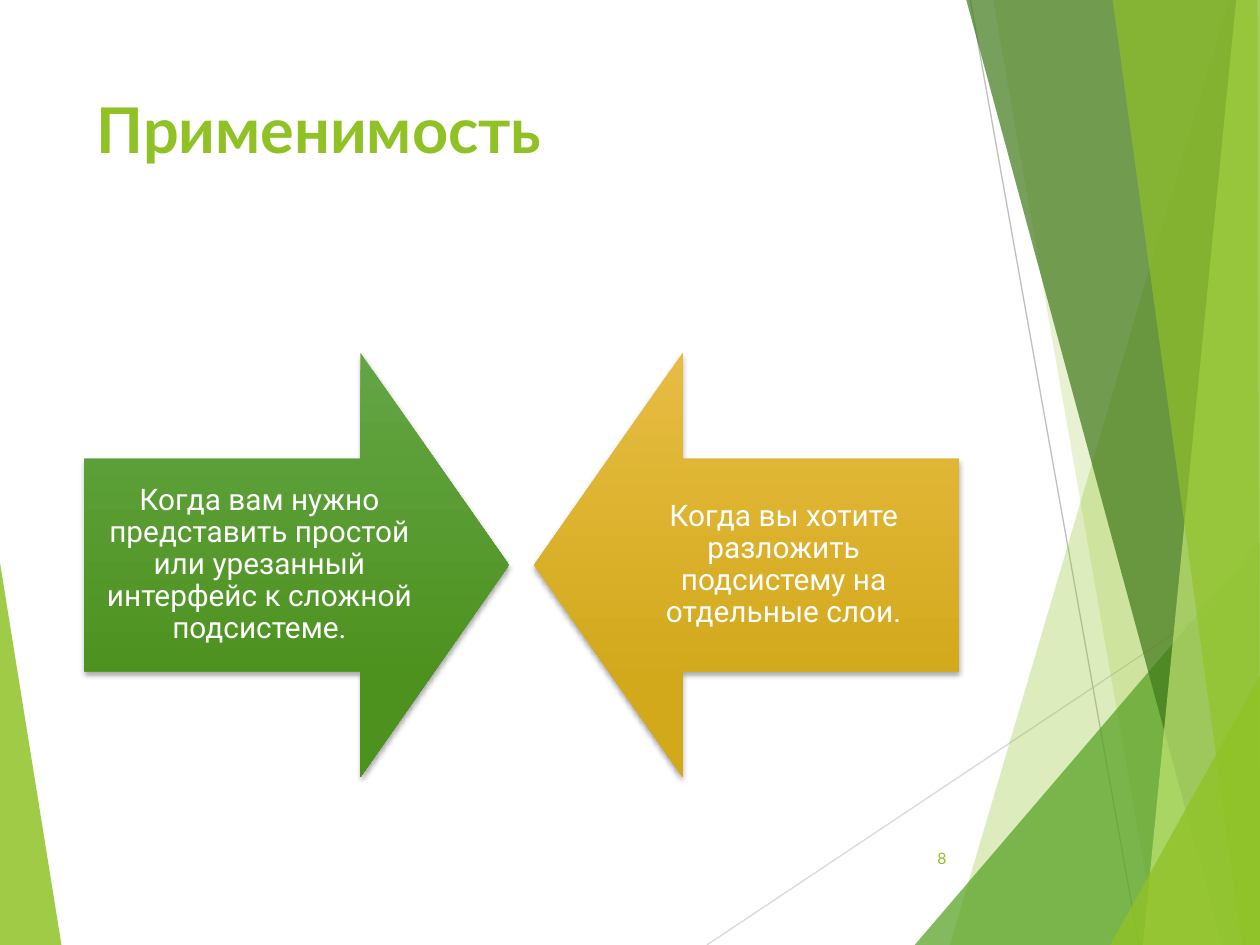
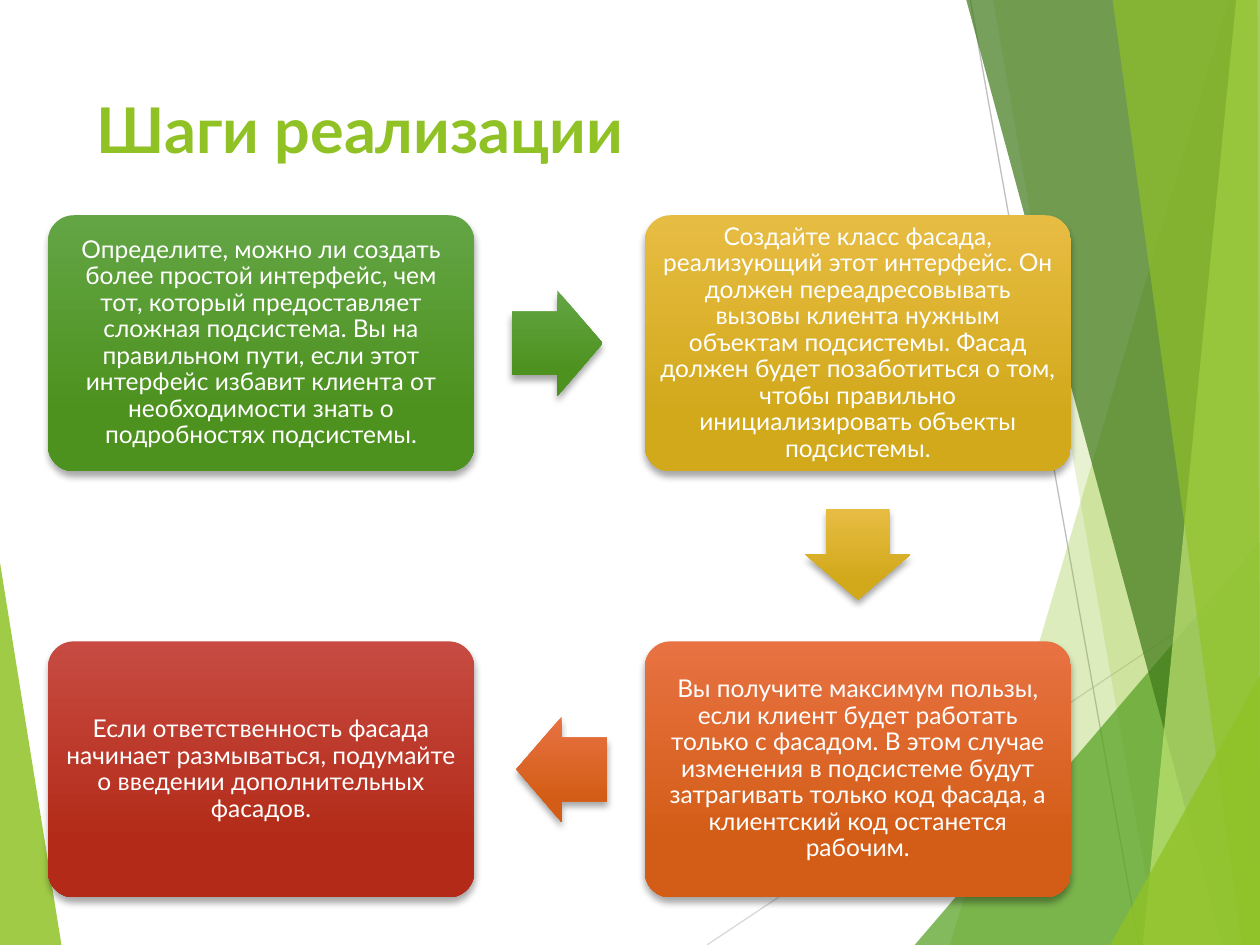
from lxml import etree
from pptx import Presentation
from pptx.dml.color import RGBColor
from pptx.enum.shapes import MSO_CONNECTOR, MSO_SHAPE
from pptx.enum.text import MSO_ANCHOR, PP_ALIGN
from pptx.oxml.ns import qn
from pptx.util import Cm, Pt

STRAIGHT = MSO_CONNECTOR.STRAIGHT
ROUNDED = MSO_SHAPE.ROUNDED_RECTANGLE
RIGHT_ARROW = MSO_SHAPE.RIGHT_ARROW
LEFT_ARROW = MSO_SHAPE.LEFT_ARROW
DOWN_ARROW = MSO_SHAPE.DOWN_ARROW
TOP, MIDDLE = MSO_ANCHOR.TOP, MSO_ANCHOR.MIDDLE
LEFT, CENTER, RIGHT = PP_ALIGN.LEFT, PP_ALIGN.CENTER, PP_ALIGN.RIGHT

WIDTH, HEIGHT = 25.4, 19.05
EDGE = 25.42

COLORS = {
    "lime": "90C226",
    "green": "54A021",
    "dark green": "3F7819",
    "pale lime": "C0E474",
    "light gray": "D9D9D9",
    "gray": "BFBFBF",
    "white": "FFFFFF",
    "black": "000000",
}
GRADIENTS = {
    "green": ("63A545", "4D921E"),
    "yellow": ("E7BC43", "D2A91B"),
    "orange": ("E87242", "D35D16"),
    "red": ("C74B42", "B32B18"),
}
FORMATS = {
    "title": {"name": "Lato", "size": Pt(36), "bold": True},
    "number": {"name": "Lato", "size": Pt(9)},
    "arrow": {"name": "Roboto", "size": Pt(17)},
    "card": {"name": "Lato", "size": Pt(14)},
}
GUIDES = [
    ("light gray", (14.25, HEIGHT), (EDGE, 11.6)),
    ("gray", (19.56, 0), (22.96, HEIGHT)),
]
FACETS = [
    ("lime", 30, [(24.77, 0), (19.15, HEIGHT), (EDGE, HEIGHT), (EDGE, 0)]),
    ("lime", 20, [(20.02, 0), (23.34, HEIGHT), (EDGE, HEIGHT), (EDGE, 0)]),
    ("green", 72, [(18.44, HEIGHT), (EDGE, 10.9), (EDGE, HEIGHT)]),
    ("dark green", 70, [(19.48, 0), (24.64, HEIGHT), (EDGE, HEIGHT), (EDGE, 0)]),
    ("pale lime", 70, [(24.92, 0), (23.04, HEIGHT), (EDGE, HEIGHT), (EDGE, 0)]),
    ("lime", 65, [(22.43, 0), (25.04, HEIGHT), (WIDTH, HEIGHT), (25.35, 0)]),
    ("lime", 80, [(22.38, HEIGHT), (EDGE, 13.59), (EDGE, HEIGHT)]),
]


def rgb(color):
    return RGBColor.from_string(COLORS.get(color, color))


class Deck:
    def __init__(self):
        self.presentation = Presentation()
        self.presentation.slide_width = Cm(WIDTH)
        self.presentation.slide_height = Cm(HEIGHT)
        self.shapes = None

    def add_slide(self, title):
        layout = self.presentation.slide_layouts[6]
        self.shapes = self.presentation.slides.add_slide(layout).shapes
        self.facet("lime", 85, [(-0.03, 11.15), (1.24, HEIGHT), (-0.03, HEIGHT)])
        for guide in GUIDES:
            self.guide(*guide)
        for facet in FACETS:
            self.facet(*facet)
        self.text_box(title, "title", (1.7, 1.7, 17.63, 3.66), TOP, LEFT)

    def facet(self, color, opacity, points):
        points = [(Cm(x), Cm(y)) for x, y in points]
        builder = self.shapes.build_freeform(*points[0])
        builder.add_line_segments(points[1:], close=True)
        shape = builder.convert_to_shape()
        shape.shadow.inherit = False
        shape.fill.solid()
        shape.fill.fore_color.rgb = rgb(color)
        shape.line.fill.background()
        fill_color = shape._element.spPr.find(".//" + qn("a:srgbClr"))
        etree.SubElement(fill_color, qn("a:alpha"), val=str(opacity * 1000))

    def guide(self, color, start, end):
        connector = self.shapes.add_connector(
            STRAIGHT, *(Cm(value) for value in start + end))
        connector.line.color.rgb = rgb(color)
        connector.line.width = Pt(0.75)
        etree.SubElement(connector._element.spPr, qn("a:effectLst"))

    def set_text(self, shape, text, style, color, anchor, alignment, inset=None):
        frame = shape.text_frame
        frame.word_wrap = True
        frame.vertical_anchor = anchor
        if inset is not None:
            for side in ("left", "top", "right", "bottom"):
                setattr(frame, f"margin_{side}", Cm(inset))
        paragraph = frame.paragraphs[0]
        paragraph.alignment = alignment
        run = paragraph.add_run()
        run.text = text
        for name, value in FORMATS[style].items():
            setattr(run.font, name, value)
        run.font.color.rgb = rgb(color)
        return paragraph

    def text_box(self, text, style, box, anchor, alignment):
        shape = self.shapes.add_textbox(*map(Cm, box))
        self.set_text(shape, text, style, "lime", anchor, alignment)

    def block(self, kind, box, adjustments, gradient, blur, distance):
        shape = self.shapes.add_shape(kind, *map(Cm, box))
        for index, value in enumerate(adjustments):
            shape.adjustments[index] = value
        shape.line.fill.background()
        shape.fill.gradient()
        shape.fill.gradient_angle = 270
        stops = zip(shape.fill.gradient_stops, GRADIENTS[gradient], (0, 0.78))
        for stop, color, position in stops:
            stop.color.rgb = rgb(color)
            stop.position = position
        self.cast_shadow(shape, blur, distance)
        return shape

    def cast_shadow(self, shape, blur, distance):
        shape.shadow.inherit = False
        effects = shape._element.spPr.find(qn("a:effectLst"))
        shadow = etree.SubElement(
            effects, qn("a:outerShdw"), blurRad=str(Pt(blur)),
            dist=str(Pt(distance)), dir="5400000", rotWithShape="0")
        color = etree.SubElement(shadow, qn("a:srgbClr"), val=COLORS["black"])
        etree.SubElement(color, qn("a:alpha"), val="35000")

    def big_arrow(self, kind, left, gradient, text):
        shape = self.block(kind, (left, 7.11, 8.56, 8.56), (0.5, 0.35), gradient, 3, 2)
        paragraph = self.set_text(shape, text, "arrow", "white", MIDDLE, CENTER, 0.33)
        paragraph.line_spacing = 0.9

    def card(self, box, gradient, text):
        shape = self.block(ROUNDED, box, (0.1,), gradient, 4, 3)
        paragraph = self.set_text(shape, text, "card", "white", MIDDLE, CENTER, 0.15)
        paragraph.line_spacing = 0.9

    def step_arrow(self, kind, card_box, gradient):
        gap, length, breadth = 0.76, 1.83, 2.13
        left, top, width, height = card_box
        middle_top = top + (height - breadth) / 2
        box = {
            RIGHT_ARROW: (left + width + gap, middle_top, length, breadth),
            LEFT_ARROW: (left - gap - length, middle_top, length, breadth),
            DOWN_ARROW: (left + (width - breadth) / 2, top + height + gap,
                         breadth, length),
        }[kind]
        self.block(kind, box, (0.6, 0.5), gradient, 4, 3)


def add_applicability(deck):
    deck.add_slide("Применимость")
    deck.big_arrow(RIGHT_ARROW, 1.7, "green",
                   "Когда вам нужно представить простой или урезанный "
                   "интерфейс к сложной подсистеме.")
    deck.big_arrow(LEFT_ARROW, 10.77, "yellow",
                   "Когда вы хотите разложить подсистему на отдельные слои.")
    deck.text_box("8", "number", (17.91, 16.79, 1.42, 1.02), MIDDLE, RIGHT)


def add_steps(deck):
    deck.add_slide("Шаги реализации")
    columns, rows = (0.97, 13), (4.34, 12.93)
    steps = [
        (0, 0, "green", RIGHT_ARROW,
         "Определите, можно ли создать более простой интерфейс, чем тот, "
         "который предоставляет сложная подсистема. Вы на правильном пути, "
         "если этот интерфейс избавит клиента от необходимости знать о "
         "подробностях подсистемы."),
        (1, 0, "yellow", DOWN_ARROW,
         "Создайте класс фасада, реализующий этот интерфейс. Он должен "
         "переадресовывать вызовы клиента нужным объектам подсистемы. Фасад "
         "должен будет позаботиться о том, чтобы правильно инициализировать "
         "объекты подсистемы."),
        (1, 1, "orange", LEFT_ARROW,
         "Вы получите максимум пользы, если клиент будет работать только с "
         "фасадом. В этом случае изменения в подсистеме будут затрагивать "
         "только код фасада, а клиентский код останется рабочим."),
        (0, 1, "red", None,
         "Если ответственность фасада начинает размываться, подумайте о "
         "введении дополнительных фасадов."),
    ]
    for column, row, gradient, arrow, text in steps:
        box = (columns[column], rows[row], 8.59, 5.16)
        deck.card(box, gradient, text)
        if arrow is not None:
            deck.step_arrow(arrow, box, gradient)


def main():
    deck = Deck()
    add_applicability(deck)
    add_steps(deck)
    deck.presentation.save("out.pptx")


if __name__ == "__main__":
    main()
